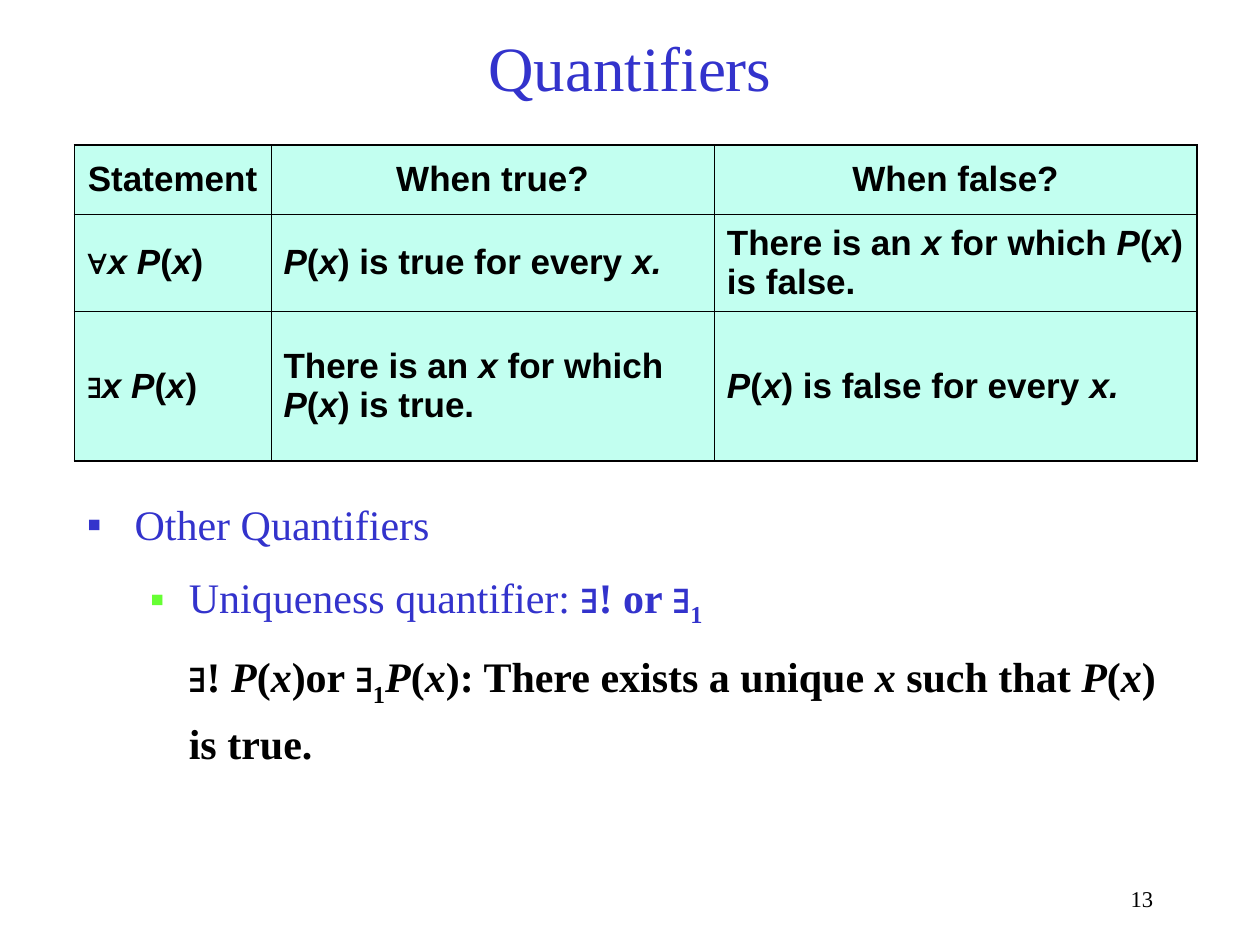
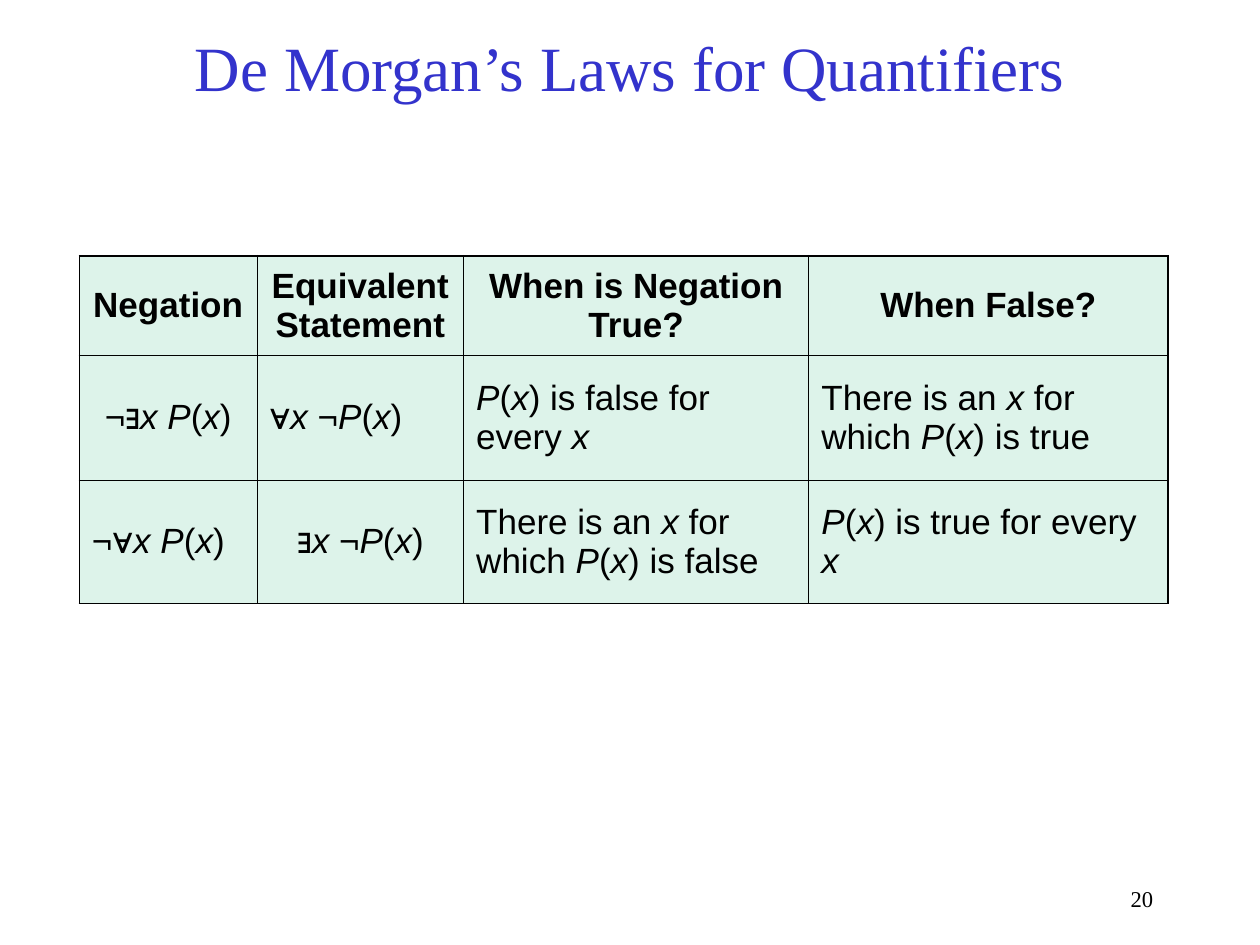
from dataclasses import dataclass, replace
from itertools import groupby
from typing import Iterator, NamedTuple

from lxml import etree
from pptx import Presentation
from pptx.dml.color import RGBColor
from pptx.enum import text
from pptx.oxml import ns
from pptx.util import Inches, Pt

BLUE = RGBColor(0x33, 0x33, 0xCC)
GREEN = RGBColor(0x66, 0xFF, 0x33)
BLACK = RGBColor(0, 0, 0)
AQUA = RGBColor(0xC2, 0xFF, 0xF0)
MINT = RGBColor(0xDD, 0xF3, 0xEA)

SERIF = "Times New Roman"
SANS = "Arial"
OUTER_LINE = Pt(1.08)
INNER_LINE = Pt(0.45)
LEFT, CENTER, RIGHT = text.PP_ALIGN.LEFT, text.PP_ALIGN.CENTER, text.PP_ALIGN.RIGHT


class Box(NamedTuple):
    left: float
    top: float
    width: float
    height: float


TITLE_BOX = Box(0.75, 0.13, 8.5, 0.79)
NUMBER_BOX = Box(7.67, 7, 1.58, 0.33)
BODY_BOX = Box(0.59, 3.83, 8.78, 2.66)


@dataclass(frozen=True)
class TextStyle:
    size: float
    color: RGBColor
    name: str = SERIF
    bold: bool = False
    align: text.PP_ALIGN = LEFT
    space_before: float = 0
    line_spacing: float = 1.0


TITLE_STYLE = TextStyle(36, BLUE, align=CENTER)
NUMBER_STYLE = TextStyle(12.9, BLACK, align=RIGHT, line_spacing=0.9)
BODY_STYLE = TextStyle(24, BLUE, space_before=6, line_spacing=1.2)
CELL_STYLE = TextStyle(20, BLACK, SANS)


class RunStyle(NamedTuple):
    italic: bool
    bold: bool
    symbol: bool
    subscript: bool


@dataclass(frozen=True)
class BodyLine:
    markup: str
    margin: float
    hanging: float = 0
    bullet_color: RGBColor | None = None
    style: TextStyle = BODY_STYLE


@dataclass(frozen=True)
class QuantifierTable:
    left: float
    top: float
    columns: list[float]
    rows: list[float]
    fill: RGBColor
    cells: list[list[str]]
    bold_body: bool = False
    space_before: float = 0
    centred: frozenset[tuple[int, int]] = frozenset()

    def style_at(self, row: int, column: int) -> TextStyle:
        style = replace(CELL_STYLE, bold=row == 0 or self.bold_body,
                        space_before=self.space_before)
        if row == 0:
            return replace(style, align=CENTER)
        if (row, column) in self.centred:
            return replace(style, align=CENTER, space_before=0)
        return style


def styled_characters(markup: str) -> Iterator[tuple[str, RunStyle]]:
    """Yield characters; * toggles italic, | toggles bold, ₁ is a subscript 1."""
    italic = bold = False
    for character in markup:
        if character == "*":
            italic = not italic
        elif character == "|":
            bold = not bold
        else:
            shown = "1" if character == "₁" else character
            yield shown, RunStyle(italic, bold, character in "∃∀", character == "₁")


def write_paragraph(paragraph, markup: str, style: TextStyle) -> None:
    paragraph.alignment = style.align
    paragraph.space_before = Pt(style.space_before)
    paragraph.line_spacing = style.line_spacing
    fonts = [paragraph.font]
    paragraph.font.name = style.name
    for run_style, group in groupby(styled_characters(markup), key=lambda pair: pair[1]):
        run = paragraph.add_run()
        run.text = "".join(character for character, _ in group)
        run.font.name = SANS if run_style.symbol else style.name
        run.font.bold = style.bold or run_style.bold
        run.font.italic = run_style.italic
        if run_style.subscript:
            run.font._element.set("baseline", "-25000")
        fonts.append(run.font)
    for font in fonts:
        font.size = Pt(style.size)
        font.color.rgb = style.color


def add_text_frame(slide, box: Box, anchor: text.MSO_ANCHOR = text.MSO_ANCHOR.TOP):
    frame = slide.shapes.add_textbox(*map(Inches, box)).text_frame
    frame.word_wrap = True
    frame.vertical_anchor = anchor
    return frame


def add_titled_slide(presentation, title: str, number: int):
    slide = presentation.slides.add_slide(presentation.slide_layouts[6])
    title_frame = add_text_frame(slide, TITLE_BOX, text.MSO_ANCHOR.MIDDLE)
    write_paragraph(title_frame.paragraphs[0], title, TITLE_STYLE)
    number_frame = add_text_frame(slide, NUMBER_BOX)
    write_paragraph(number_frame.paragraphs[0], str(number), NUMBER_STYLE)
    return slide


def add_color(parent, tag: str, color: RGBColor) -> None:
    holder = etree.SubElement(parent, ns.qn(tag))
    etree.SubElement(holder, ns.qn("a:srgbClr"), val=str(color))


def add_body(slide, lines: list[BodyLine]) -> None:
    frame = add_text_frame(slide, BODY_BOX)
    for index, line in enumerate(lines):
        paragraph = frame.add_paragraph() if index else frame.paragraphs[0]
        properties = paragraph._p.get_or_add_pPr()
        properties.set("marL", str(Inches(line.margin)))
        properties.set("indent", str(-Inches(line.hanging)))
        if line.bullet_color is not None:
            add_color(properties, "a:buClr", line.bullet_color)
            etree.SubElement(properties, ns.qn("a:buFont"), typeface=SERIF)
            etree.SubElement(properties, ns.qn("a:buChar"), char="▪")
        write_paragraph(paragraph, line.markup, line.style)


def set_borders(cell, outer_sides: dict[str, bool]) -> None:
    properties = cell._tc.get_or_add_tcPr()
    for side, is_outer in outer_sides.items():
        width = OUTER_LINE if is_outer else INNER_LINE
        line = etree.SubElement(properties, ns.qn(f"a:ln{side}"), w=str(width))
        add_color(line, "a:solidFill", BLACK)


def add_quantifier_table(slide, spec: QuantifierTable) -> None:
    row_count, column_count = len(spec.rows), len(spec.columns)
    box = Box(spec.left, spec.top, sum(spec.columns), sum(spec.rows))
    table = slide.shapes.add_table(row_count, column_count, *map(Inches, box)).table
    table.first_row = table.horz_banding = False
    for column, width in zip(table.columns, spec.columns):
        column.width = Inches(width)
    for row, height in zip(table.rows, spec.rows):
        row.height = Inches(height)
    for row, markups in enumerate(spec.cells):
        for column, markup in enumerate(markups):
            cell = table.cell(row, column)
            set_borders(cell, {"L": column == 0, "R": column == column_count - 1,
                               "T": row == 0, "B": row == row_count - 1})
            cell.fill.solid()
            cell.fill.fore_color.rgb = spec.fill
            cell.vertical_anchor = text.MSO_ANCHOR.MIDDLE
            write_paragraph(cell.text_frame.paragraphs[0], markup,
                            spec.style_at(row, column))


QUANTIFIERS = QuantifierTable(
    left=0.59, top=1.15, columns=[1.56, 3.52, 3.83], rows=[0.55, 0.77, 1.19],
    fill=AQUA, bold_body=True,
    cells=[
        ["Statement", "When true?", "When false?"],
        ["∀*x P*(*x*)", "*P*(*x*) is true for every *x.*",
         "There is an *x* for which *P*(*x*) is false."],
        ["∃*x P*(*x*)", "There is an *x* for which *P*(*x*) is true.",
         "*P*(*x*) is false for every *x.*"],
    ],
)

OTHER_QUANTIFIERS = [
    BodyLine("Other Quantifiers", 0.38, 0.38, BLUE),
    BodyLine("Uniqueness quantifier: |∃! or ∃₁|", 0.81, 0.31, GREEN),
    BodyLine("∃! *P*(*x*)or ∃₁*P*(*x*): There exists a unique *x* such that *P*(*x*) is true.",
             0.81, style=replace(BODY_STYLE, color=BLACK, bold=True)),
]

DE_MORGAN = QuantifierTable(
    left=0.63, top=2.03, columns=[1.41, 1.64, 2.74, 2.85], rows=[0.79, 0.99, 0.98],
    fill=MINT, space_before=5, centred=frozenset({(1, 0), (2, 1)}),
    cells=[
        ["Negation", "Equivalent Statement", "When is Negation True?", "When False?"],
        ["¬∃*x P*(*x*)", "∀*x *¬*P*(*x*)", "*P*(*x*) is false for every *x*",
         "There is an *x* for which *P*(*x*) is true"],
        ["¬∀*x P*(*x*)", "∃*x *¬*P*(*x*)", "There is an *x* for which *P*(*x*) is false",
         "*P*(*x*) is true for every *x*"],
    ],
)


def main() -> None:
    presentation = Presentation()
    presentation.slide_width = Inches(10)
    presentation.slide_height = Inches(7.5)

    slide = add_titled_slide(presentation, "Quantifiers", 13)
    add_body(slide, OTHER_QUANTIFIERS)
    add_quantifier_table(slide, QUANTIFIERS)

    slide = add_titled_slide(presentation, "De Morgan’s Laws for Quantifiers", 20)
    add_quantifier_table(slide, DE_MORGAN)

    presentation.save("out.pptx")


if __name__ == "__main__":
    main()
